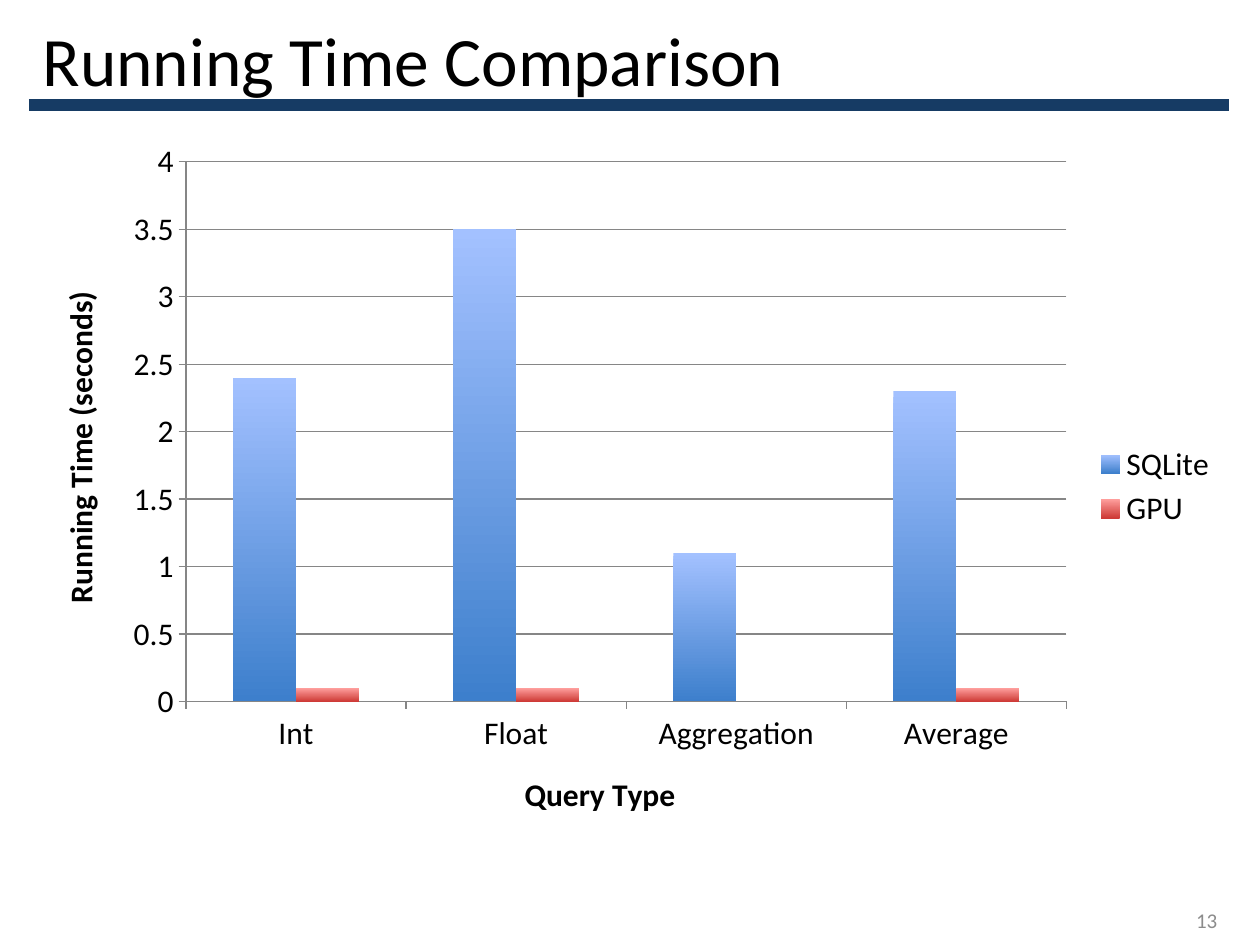
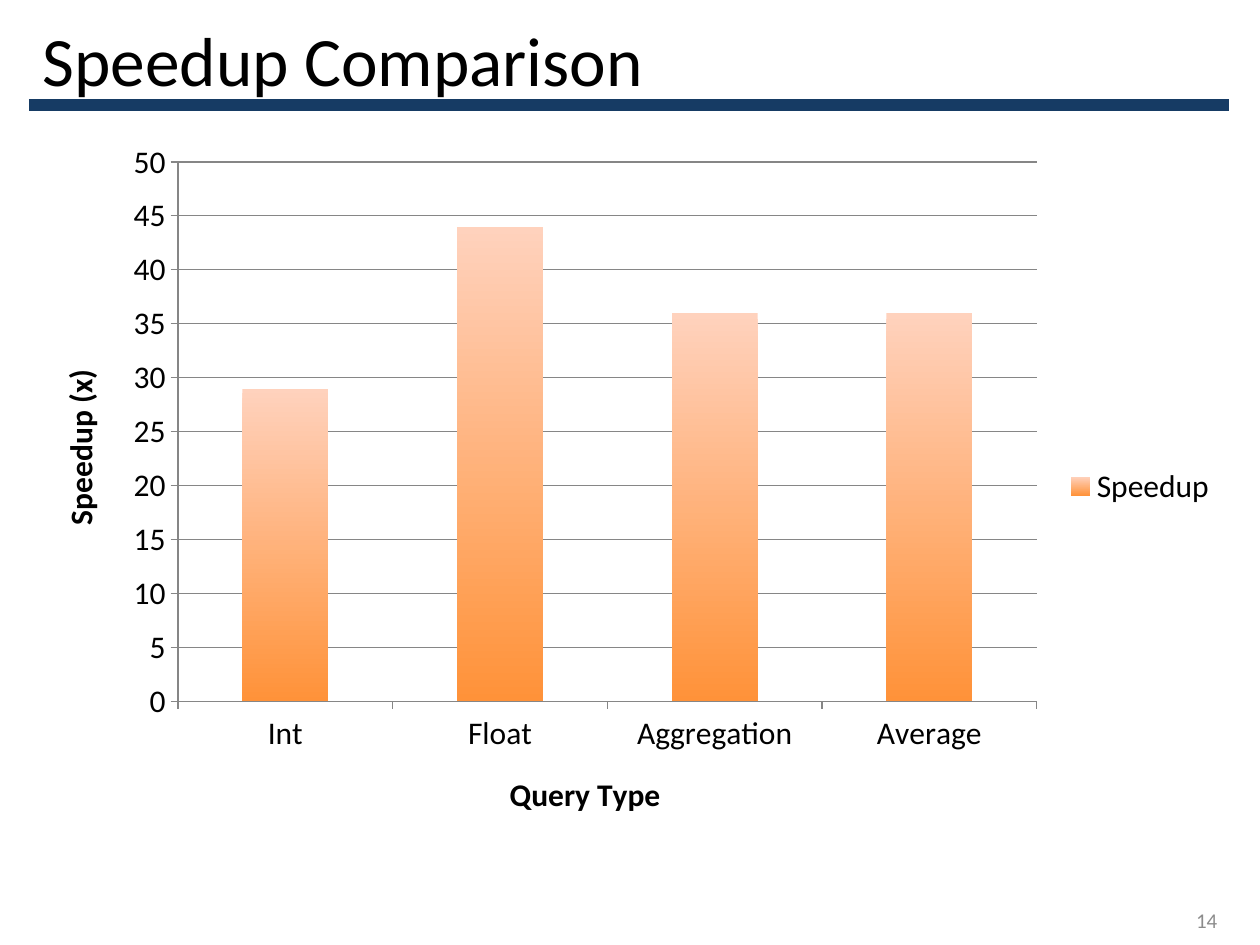
from dataclasses import dataclass
from typing import NamedTuple

from lxml import etree
from pptx import Presentation
from pptx import util as u
from pptx.chart.data import CategoryChartData
from pptx.dml.color import RGBColor
from pptx.enum import chart as charts, shapes, text
from pptx.oxml.ns import qn


# Theme: colours and type sizes
@dataclass(frozen=True)
class Theme:
    font: str = "Calibri"
    ink: RGBColor = RGBColor(0x00, 0x00, 0x00)
    rule: RGBColor = RGBColor(0x16, 0x3B, 0x64)
    muted: RGBColor = RGBColor(0x8C, 0x8C, 0x8C)
    axis: RGBColor = RGBColor(0x86, 0x86, 0x86)
    title_size: u.Pt = u.Pt(39.6)
    chart_size: u.Pt = u.Pt(18)
    number_size: u.Pt = u.Pt(12)
    rule_width: u.Pt = u.Pt(7)
    axis_width: u.Pt = u.Pt(0.75)


THEME = Theme()


class Box(NamedTuple):
    left: u.Cm
    top: u.Cm
    width: u.Cm
    height: u.Cm


TITLE_BOX = Box(u.Cm(0.61), u.Cm(0.3), u.Cm(24.18), u.Cm(1.78))
CHART_BOX = Box(u.Cm(0.61), u.Cm(2.59), u.Cm(24.18), u.Cm(14.43))
NUMBER_BOX = Box(u.Cm(18.87), u.Cm(18.03), u.Cm(5.92), u.Cm(1.02))
RULE_LEFT, RULE_RIGHT, RULE_Y = u.Cm(0.58), u.Cm(24.77), u.Cm(2.11)


# Content
@dataclass(frozen=True)
class Measure:
    name: str
    values: tuple[float, ...]
    top_color: str
    bottom_color: str


@dataclass(frozen=True)
class Comparison:
    title: str
    number: int
    value_title: str
    maximum: float
    step: float
    measures: tuple[Measure, ...]


QUERY_TYPES = ("Int", "Float", "Aggregation", "Average")
COMPARISONS = (
    Comparison("Running Time Comparison", 13, "Running Time (seconds)", 4, 0.5, (
        Measure("SQLite", (2.4, 3.5, 1.1, 2.3), "A3C1FF", "3D7FCC"),
        Measure("GPU", (0.1, 0.1, 0, 0.1), "FFA09E", "CE3B37"),
    )),
    Comparison("Speedup Comparison", 14, "Speedup (x)", 50, 5, (
        Measure("Speedup", (29, 44, 36, 36), "FFD2BD", "FF9239"),
    )),
)


# Shared parts
def add_text(slide, box: Box, wording: str, size: u.Pt, color: RGBColor,
             align: text.PP_ALIGN = text.PP_ALIGN.LEFT) -> None:
    frame = slide.shapes.add_textbox(*box).text_frame
    frame.word_wrap = True
    frame.vertical_anchor = text.MSO_ANCHOR.MIDDLE
    paragraph = frame.paragraphs[0]
    paragraph.text = wording
    paragraph.alignment = align
    paragraph.font.name = THEME.font
    paragraph.font.size = size
    paragraph.font.color.rgb = color


def add_rule(slide) -> None:
    rule = slide.shapes.add_connector(
        shapes.MSO_CONNECTOR.STRAIGHT, RULE_LEFT, RULE_Y, RULE_RIGHT, RULE_Y)
    rule.line.color.rgb = THEME.rule
    rule.line.width = THEME.rule_width
    etree.SubElement(rule._element.spPr, qn("a:effectLst"))


# Charts
def style_line(line) -> None:
    line.color.rgb = THEME.axis
    line.width = THEME.axis_width


def style_font(font, bold: bool = False) -> None:
    font.name = THEME.font
    font.size = THEME.chart_size
    font.bold = bold
    font.color.rgb = THEME.ink


def style_axis(axis, title: str) -> None:
    axis.major_tick_mark = charts.XL_TICK_MARK.OUTSIDE
    axis.minor_tick_mark = charts.XL_TICK_MARK.NONE
    style_line(axis.format.line)
    heading = axis.axis_title.text_frame.paragraphs[0]
    heading.text = title
    style_font(heading.font, bold=True)


def fill_bars(series, measure: Measure) -> None:
    series.invert_if_negative = False
    fill = series.format.fill
    fill.gradient()
    fill.gradient_angle = 270
    for stop, color in zip(fill.gradient_stops,
                           (measure.top_color, measure.bottom_color)):
        stop.color.rgb = RGBColor.from_string(color)


def add_column_chart(slide, comparison: Comparison) -> None:
    data = CategoryChartData()
    data.categories = QUERY_TYPES
    for measure in comparison.measures:
        data.add_series(measure.name, measure.values)
    chart = slide.shapes.add_chart(
        charts.XL_CHART_TYPE.COLUMN_CLUSTERED, *CHART_BOX, data).chart
    style_font(chart.font)
    chart.has_title = False
    chart.has_legend = True
    chart.legend.position = charts.XL_LEGEND_POSITION.RIGHT
    chart.legend.include_in_layout = False

    style_axis(chart.category_axis, "Query Type")
    values = chart.value_axis
    style_axis(values, comparison.value_title)
    values.minimum_scale = 0
    values.maximum_scale = comparison.maximum
    values.major_unit = comparison.step
    values.has_major_gridlines = True
    style_line(values.major_gridlines.format.line)

    plot = chart.plots[0]
    plot.gap_width = 150
    plot.vary_by_categories = False
    for series, measure in zip(plot.series, comparison.measures):
        fill_bars(series, measure)


# Slides
def add_comparison(deck, comparison: Comparison) -> None:
    slide = deck.slides.add_slide(deck.slide_layouts[6])
    add_rule(slide)
    add_text(slide, TITLE_BOX, comparison.title, THEME.title_size, THEME.ink)
    add_text(slide, NUMBER_BOX, str(comparison.number), THEME.number_size,
             THEME.muted, text.PP_ALIGN.RIGHT)
    add_column_chart(slide, comparison)


deck = Presentation()
deck.slide_width, deck.slide_height = u.Cm(25.4), u.Cm(19.05)
for comparison in COMPARISONS:
    add_comparison(deck, comparison)
deck.save("out.pptx")
